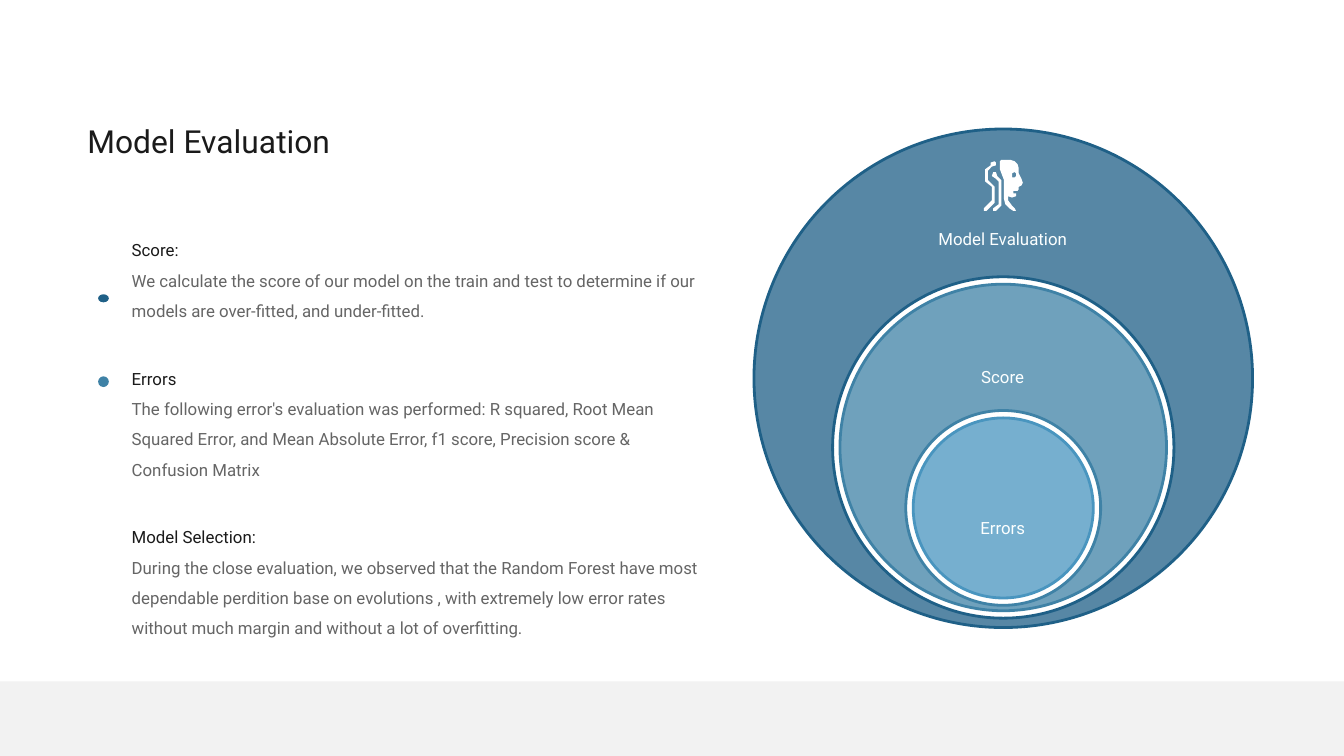
from lxml import etree
from pptx import Presentation
from pptx import util as u
from pptx.dml.color import RGBColor
from pptx.enum import shapes, text
from pptx.oxml.ns import qn

COLS, ROWS = 100, 56.25  # square grid cells
CELL = u.Inches(0.1)
FINE = 100  # outline steps in one cell
FONT = "Roboto"
HUES = {"ink": "1A1A1A", "gray": "656565", "deep": "1F6087", "mid": "3F82A6",
        "light": "4995BF", "pale": "FCFFFF", "white": "FFFFFF", "band": "F2F2F2"}

POINTS = [
    ("Score:", "We calculate the score of our model on the train and test to determine "
     "if our models are over-fitted, and under-fitted."),
    ("Errors", "The following error's evaluation was performed: R squared, Root Mean Squared "
     "Error, and Mean Absolute Error, f1 score, Precision score & Confusion Matrix"),
    ("Model Selection:", "During the close evaluation, we observed that the Random Forest have "
     "most dependable perdition base on evolutions , with extremely low error rates without "
     "much margin and without a lot of overfitting."),
]
# Icon outlines in tenths of a cell: face, eye and two wires
ICON = [
    [(12, 1), (13, 0), (20, 0), (23, 1), (25, 3), (26, 6), (26, 10), (28, 14), (29, 17),
     (28, 19), (26, 20), (26, 22), (25, 23), (22, 23), (22, 25), (24, 25), (24, 27),
     (21, 28), (18, 27), (18, 30), (21, 34), (23, 36), (24, 38), (22, 38), (19, 36),
     (16, 33), (15, 29), (15, 15), (12, 7)],
    [(21, 13), (21, 10), (23, 9), (24, 10), (24, 12), (23, 13)],
    [(13, 15), (13, 34), (9, 38), (7, 38), (7, 36), (11, 33), (11, 16), (9, 14), (6, 12),
     (7, 9), (9, 9), (10, 12)],
    [(8, 31), (8, 20), (3, 15), (3, 8), (6, 5), (9, 4), (9, 2), (8, 1), (5, 2), (5, 4),
     (1, 7), (1, 16), (6, 20), (6, 30), (0, 36), (0, 38), (2, 38), (8, 32)],
]


def hue(name):
    """Look up a colour."""
    return RGBColor.from_string(HUES[name])


def grid(*cells):
    """Turn grid cells into lengths."""
    return [int(c * CELL) for c in cells]


def paint(shape, fill, line=None, alpha=None):
    """Set fill, outline and opacity of a shape."""
    shape.shadow.inherit = False
    shape.fill.solid()
    shape.fill.fore_color.rgb = hue(fill)
    if alpha:
        color = shape._element.spPr.find(qn("a:solidFill"))[0]
        etree.SubElement(color, qn("a:alpha"), val=str(alpha * 1000))
    if line:
        shape.line.color.rgb = hue(line)
        shape.line.width = u.Pt(1.5)
    else:
        shape.line.fill.background()


def preset(slide, kind, box, fill, **look):
    """Add a painted preset shape."""
    paint(slide.shapes.add_shape(kind, *grid(*box)), fill, **look)


def outline(slide, loops):
    """Add one freeform made of closed loops."""
    first, *rest = [[(x * FINE, y * FINE) for x, y in loop] for loop in loops]
    pen = slide.shapes.build_freeform(*first[0], scale=CELL / FINE)
    pen.add_line_segments(first[1:])
    for loop in rest:
        pen.move_to(*loop[0])
        pen.add_line_segments(loop[1:])
    return pen.convert_to_shape()


def ring(slide, discs, color):
    """Add a disc with a round hole, each given as x, y, radius."""
    shape = outline(slide, [[(x + r, y), (x, y + r), (x - r, y), (x, y - r), (x + r, y)]
                            for x, y, r in discs])
    # Each side of the two diamonds becomes a quarter arc
    for i, side in enumerate(list(shape._element.iter(qn("a:lnTo")))):
        r = str(round(discs[i // 4][2] * FINE))
        arc = etree.Element(qn("a:arcTo"), wR=r, hR=r, swAng="5400000",
                            stAng=str(i % 4 * 5400000))
        side.getparent().replace(side, arc)
    paint(shape, color, line=color, alpha=75)


def frame(shape, box, anchor):
    """Place a text shape and set its frame."""
    shape.left, shape.top, shape.width, shape.height = grid(*box)
    body = shape.text_frame
    body.word_wrap, body.auto_size = True, text.MSO_AUTO_SIZE.NONE
    body.vertical_anchor = anchor
    body.margin_left = body.margin_right = body.margin_top = body.margin_bottom = CELL // 5
    return body


def style(para, size, color, align):
    """Set a paragraph's font and alignment."""
    para.font.name, para.font.size = FONT, u.Pt(size)
    para.font.color.rgb = hue(color)
    para.alignment = align


def heading(slide, box):
    """Fill the title."""
    para = frame(slide.shapes.title, box, text.MSO_ANCHOR.BOTTOM).paragraphs[0]
    para.text = "Model Evaluation"
    style(para, 17, "ink", text.PP_ALIGN.LEFT)


def listing(slide, box):
    """Fill the body with points, and dot the first two."""
    body = frame(slide.placeholders[1], box, text.MSO_ANCHOR.TOP)
    body.margin_top = u.Inches(0.04)
    rows = [(part, i, j) for i, pair in enumerate(POINTS) for j, part in enumerate(pair)]
    for part, i, j in rows:
        para = body.add_paragraph() if i + j else body.paragraphs[0]
        para.text = part
        style(para, 9, "gray" if j else "ink", text.PP_ALIGN.LEFT)
        para.line_spacing = 1.5
        para.space_before = u.Pt(20 if i and not j else 0)
        props = para._p.get_or_add_pPr()
        props.set("marL", "0")
        props.set("indent", "0")
        etree.SubElement(props, qn("a:buNone"))
        # The schema puts bullets ahead of run defaults
        props.append(props.find(qn("a:defRPr")))
    x, y = box[:2]
    for down, high, color in [(5.2, 0.6, "deep"), (11.3, 0.8, "mid")]:
        preset(slide, shapes.MSO_SHAPE.OVAL, (x - 2.3, y + down, 0.8, high), color)


def nest(slide, box):
    """Draw nested rings, labels and icon."""
    x, y, size = box
    mid = x + size / 2
    discs = [(mid, y + 18.55, 18.55, "deep"), (mid, y + 23.7, 12.15, "mid"),
             (mid, y + 28.2, 6.7, "light")]
    for (*disc, color), (a, b, r, _) in zip(discs, discs[1:]):
        ring(slide, [disc, (a, b, r + 0.55)], color)
    a, b, r, color = discs[-1]
    preset(slide, shapes.MSO_SHAPE.OVAL, (a - r, b - r, 2 * r, 2 * r),
           color, line=color, alpha=75)
    for label, down, wide in [("Model Evaluation", 7.2, 13.9), ("Score", 17.5, 13.9),
                              ("Errors", 28.7, 9.8)]:
        spot = (mid - 0.05 - wide / 2, y + down, wide, 1.9)
        para = frame(slide.shapes.add_textbox(*grid(*spot)), spot,
                     text.MSO_ANCHOR.TOP).paragraphs[0]
        para.text = label
        style(para, 9, "pale", text.PP_ALIGN.CENTER)
    head = [[(mid - 1.45 + a / 10, y + 2.3 + b / 10) for a, b in loop] for loop in ICON]
    paint(outline(slide, head), "white")


def main():
    """Build and save the slide."""
    deck = Presentation()
    deck.slide_width, deck.slide_height = grid(COLS, ROWS)
    slide = deck.slides.add_slide(deck.slide_layouts[1])
    heading(slide, (6.3, 8.8, 44.3, 3.3))
    listing(slide, (9.6, 16.7, 43.3, 31.8))
    nest(slide, (56.1, 9.6, 37.1))
    preset(slide, shapes.MSO_SHAPE.RECTANGLE, (0, 50.7, COLS, ROWS - 50.7), "band")
    deck.save("out.pptx")


main()
